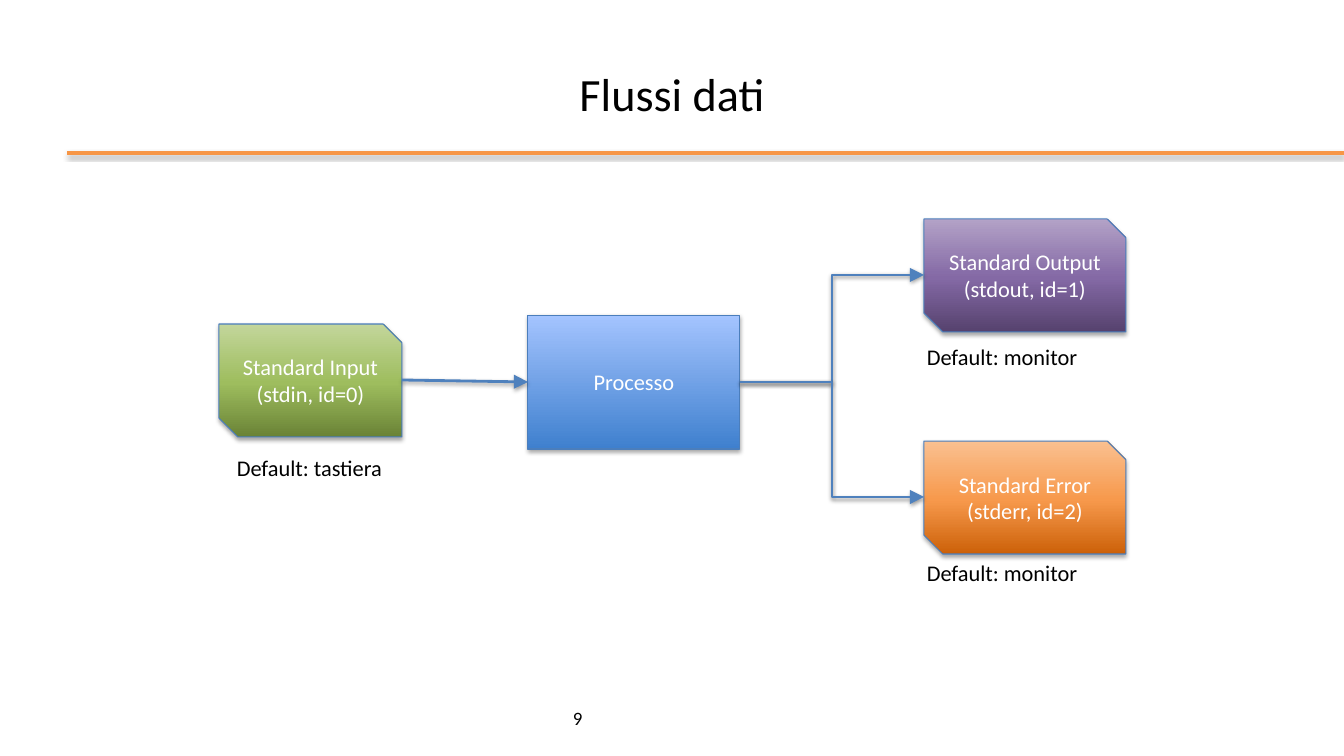
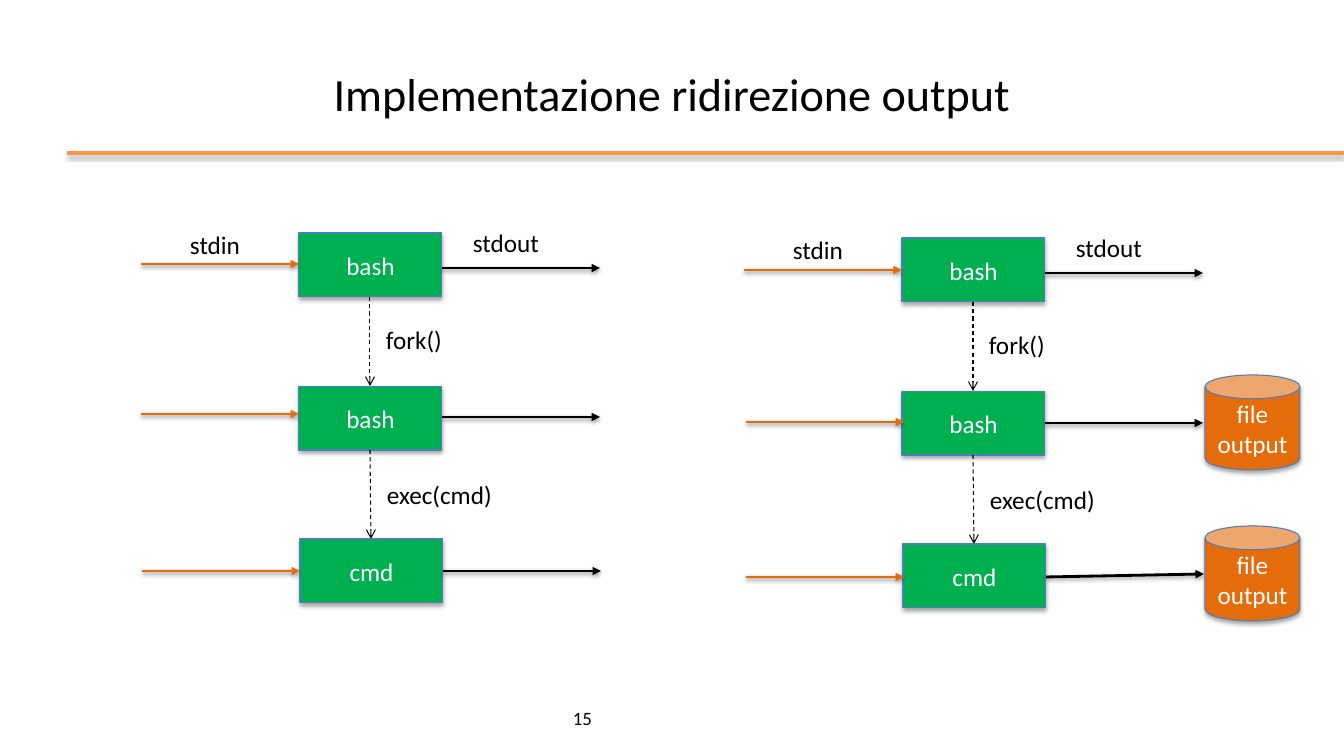
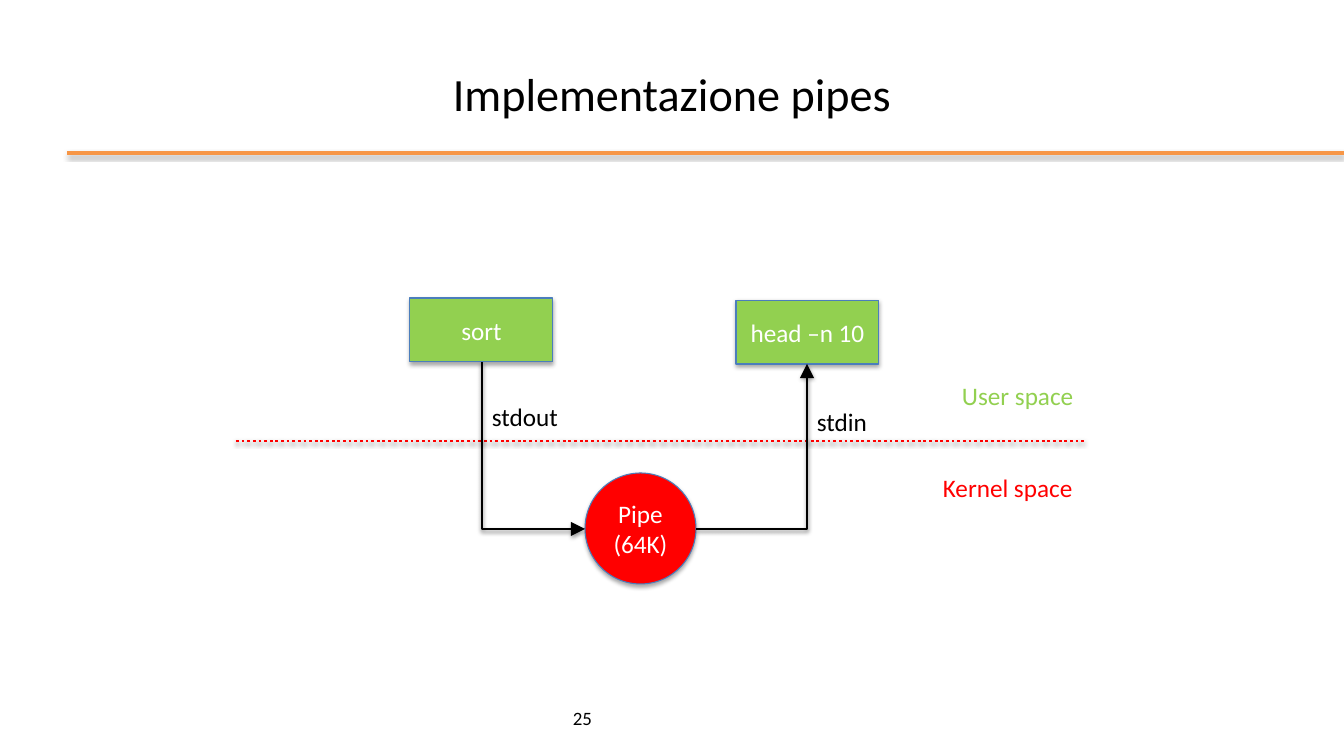
from lxml.etree import SubElement
from pptx import Presentation
from pptx.dml.color import RGBColor
from pptx.enum.dml import MSO_LINE_DASH_STYLE as Dash
from pptx.enum.shapes import MSO_AUTO_SHAPE_TYPE as Preset, MSO_CONNECTOR as Link
from pptx.enum.text import MSO_ANCHOR as Anchor, MSO_AUTO_SIZE as AutoSize, PP_ALIGN as Align
from pptx.oxml.ns import qn
from pptx.util import Pt

SCALE = 914400 / 100.8
FONT = "Calibri"
BLACK = RGBColor(0, 0, 0)
WHITE = RGBColor(0xFF, 0xFF, 0xFF)
ORANGE = RGBColor(0xF7, 0x96, 0x46)
DARK_ORANGE = RGBColor(0xE4, 0x6C, 0x0A)
OUTLINE = RGBColor(0x4B, 0x7E, 0xBC)
BLUE = RGBColor(0x4F, 0x81, 0xBD)
GREEN = RGBColor(0x00, 0xB0, 0x50)
LIME = RGBColor(0x92, 0xD0, 0x50)
RED = RGBColor(0xFF, 0, 0)
BLUE_SHADES = ((0, RGBColor(0x3F, 0x80, 0xCE)), (100, RGBColor(0xA4, 0xC4, 0xFF)))
GREEN_SHADES = ((0, RGBColor(0x6A, 0x83, 0x36)), (48, RGBColor(0x9E, 0xBD, 0x5E)),
                (100, RGBColor(0xC3, 0xD6, 0x9B)))
PURPLE_SHADES = ((0, RGBColor(0x56, 0x42, 0x6E)), (48, RGBColor(0x84, 0x69, 0xA5)),
                 (100, RGBColor(0xB3, 0xA2, 0xC7)))
ORANGE_SHADES = ((0, RGBColor(0xCC, 0x61, 0x09)), (48, RGBColor(0xF7, 0x99, 0x4C)),
                 (100, RGBColor(0xFA, 0xC0, 0x90)))

RECT_TOP, RECT_LEFT, RECT_BOTTOM, RECT_RIGHT = range(4)
SNIP_RIGHT, SNIP_BOTTOM, SNIP_LEFT, SNIP_TOP = range(4)
ELLIPSE_LEFT, ELLIPSE_RIGHT = 2, 6
NODE_WIDTH, NODE_HEIGHT = 143, 64


def px(*lengths):
    return [round(length * SCALE) for length in lengths]


def write(frame, text, size=18, color=BLACK, align=Align.LEFT, anchor=Anchor.TOP):
    frame.text = text
    frame.vertical_anchor = anchor
    for paragraph in frame.paragraphs:
        paragraph.alignment = align
        font = paragraph.runs[0].font
        font.name, font.size, font.color.rgb = FONT, Pt(size), color


def add_shadow(effects, opacity, distance):
    shadow = SubElement(effects, qn("a:outerShdw"), blurRad="40000", dist=str(distance),
                        dir="5400000", rotWithShape="0")
    color = SubElement(shadow, qn("a:srgbClr"), val=str(BLACK))
    SubElement(color, qn("a:alpha"), val=str(opacity * 1000))


def add_label(slide, text, left, top, width, height=40, wrap=False, **text_format):
    box = slide.shapes.add_textbox(*px(left, top, width, height))
    frame = box.text_frame
    frame.word_wrap = wrap
    frame.auto_size = AutoSize.NONE if wrap else AutoSize.SHAPE_TO_FIT_TEXT
    write(frame, text, **text_format)


def fill_gradient(shape, shades):
    shape.fill.gradient()
    shape.fill.gradient_angle = 90
    stops = shape.element.spPr.find(".//" + qn("a:gsLst"))
    stops.clear()
    for position, color in shades:
        stop = SubElement(stops, qn("a:gs"), pos=str(position * 1000))
        SubElement(stop, qn("a:srgbClr"), val=str(color))


def add_node(slide, preset, text, left, top, width=NODE_WIDTH, height=NODE_HEIGHT,
             fill=GREEN, size=18):
    shape = slide.shapes.add_shape(preset, *px(left, top, width, height))
    if isinstance(fill, RGBColor):
        shape.fill.solid()
        shape.fill.fore_color.rgb = fill
    else:
        fill_gradient(shape, fill)
    shape.line.color.rgb, shape.line.width = OUTLINE, Pt(0.75)
    shape.shadow.inherit = False
    add_shadow(shape.element.spPr.find(qn("a:effectLst")), 35, 23000)
    write(shape.text_frame, text, size=size, color=WHITE, align=Align.CENTER, anchor=Anchor.MIDDLE)
    return shape


def add_line(slide, begin, end, kind=Link.STRAIGHT, color=BLACK, width=2, dash=None,
             head=None, tail=None, head_size="med", shadow=(38, 20000), corner=False,
             begin_at=None, end_at=None):
    line = slide.shapes.add_connector(kind, *px(*begin, *end))
    line.line.color.rgb, line.line.width = color, Pt(width)
    if dash:
        line.line.dash_style = dash
    properties = line.element.spPr
    outline = properties.find(qn("a:ln"))
    for tag, arrow in (("a:headEnd", head), ("a:tailEnd", tail)):
        if arrow:
            SubElement(outline, qn(tag), type=arrow, w=head_size, len=head_size)
    effects = SubElement(properties, qn("a:effectLst"))
    if shadow:
        add_shadow(effects, *shadow)
    if corner:
        properties.find(qn("a:prstGeom")).set("prst", "bentConnector2")
    for tag, joint in (("a:stCxn", begin_at), ("a:endCxn", end_at)):
        if joint:
            shape, site = joint
            SubElement(line.element.nvCxnSpPr.cNvCxnSpPr, qn(tag),
                       id=str(shape.shape_id), idx=str(site))
    return line


def prepare_layout(layout, first_slide):
    title = layout.placeholders[0]
    title.left, title.top, title.width, title.height = px(67, 30, 1210, 126)
    rule = add_line(first_slide, (67, 153), (1344, 153), color=ORANGE, width=3,
                    shadow=(35, 23000)).element
    rule.nvCxnSpPr.cNvPr.set("id", "20")
    layout.shapes.element.append(rule)


def add_heading(slide, title, number):
    write(slide.shapes.title.text_frame, title, size=33, align=Align.CENTER, anchor=Anchor.MIDDLE)
    slide.shapes.title.text_frame.auto_size = AutoSize.NONE
    add_label(slide, number, 563, 702, 713, wrap=True, size=13.5)


def draw_data_flows(slide, left, top):
    middle = top + 163
    process = add_node(slide, Preset.RECTANGLE, "Processo", left + 309, top + 96, 212, 134,
                       fill=BLUE_SHADES, size=16)
    source = add_node(slide, Preset.SNIP_2_DIAG_RECTANGLE, "Standard Input (stdin, id=0)",
                      left, top + 105, 183, 113, fill=GREEN_SHADES, size=16)
    arrow = {"color": BLUE, "tail": "triangle", "head_size": "lg"}
    add_line(slide, (left + 183, middle - 2), (left + 309, middle),
             begin_at=(source, SNIP_RIGHT), end_at=(process, RECT_LEFT), **arrow)
    add_label(slide, "Default: tastiera", left + 8, top + 230, 167, 37, size=16)
    outputs = (("Standard Output (stdout, id=1)", 0, 119, PURPLE_SHADES),
               ("Standard Error (stderr, id=2)", 222, 335, ORANGE_SHADES))
    for text, offset, label_offset, shades in outputs:
        output = add_node(slide, Preset.SNIP_2_DIAG_RECTANGLE, text, left + 705, top + offset,
                          202, 113, fill=shades, size=16)
        add_line(slide, (left + 521, middle), (left + 705, top + offset + 56), kind=Link.ELBOW,
                 begin_at=(process, RECT_RIGHT), end_at=(output, SNIP_LEFT), **arrow)
        add_label(slide, "Default: monitor", left + 698, top + label_offset, 172, 37, size=16)


def draw_redirection(slide, left, top, inputs, outputs):
    for row, text in enumerate(("bash", "bash", "cmd")):
        shift = row // 2
        node_left, node_top = left + 158 + shift, top + 11 + 153 * row
        add_node(slide, Preset.RECTANGLE, text, node_left, node_top)
        input_shift, input_y = inputs[row]
        start = left + input_shift
        add_line(slide, (start, top + input_y), (start + 158, top + input_y),
                 color=DARK_ORANGE, tail="triangle")
        begin_y, end_y = outputs[row]
        add_line(slide, (node_left + NODE_WIDTH, top + begin_y),
                 (node_left + 301, top + end_y), tail="triangle")
        if row < 2:
            center = left + 229
            add_line(slide, (center, node_top + NODE_HEIGHT), (center + row, node_top + 153),
                     width=0.75, dash=Dash.DASH, tail="arrow", shadow=None)
    for text, x, y, width in (("stdout", 322, 0, 87), ("stdin", 39, 2, 71),
                              ("fork()", 235, 97, 77), ("exec(cmd)", 236, 252, 127)):
        add_label(slide, text, left + x, top + y, width)


def draw_output_files(slide, left, top):
    for row in range(2):
        add_node(slide, Preset.CAN, "file\noutput", left, top + 151 * row, 95, 95,
                 fill=DARK_ORANGE)


def draw_pipe(slide, left, top):
    pipe = add_node(slide, Preset.OVAL, "Pipe\n(64K)", left + 350, top + 175, 111, 111, fill=RED)
    add_line(slide, (left + 1, top + 143), (left + 850, top + 143), color=RED,
             dash=Dash.ROUND_DOT)
    add_label(slide, "Kernel space", left + 698, top + 169, 152, color=RED)
    add_label(slide, "User space", left + 717, top + 77, 133, color=LIME)
    sort = add_node(slide, Preset.RECTANGLE, "sort", left + 175, top, fill=LIME)
    reader = add_node(slide, Preset.RECTANGLE, "head –n 10", left + 501, top + 2, fill=LIME)
    pipe_middle = top + 231
    bend = {"kind": Link.ELBOW, "corner": True, "head_size": "lg"}
    add_line(slide, (left + 350, pipe_middle), (left + 247, top + 64), head="triangle",
             begin_at=(pipe, ELLIPSE_LEFT), end_at=(sort, RECT_BOTTOM), **bend)
    add_line(slide, (left + 461, pipe_middle), (left + 572, top + 66), tail="triangle",
             begin_at=(pipe, ELLIPSE_RIGHT), end_at=(reader, RECT_BOTTOM), **bend)
    add_label(slide, "stdout", left + 247, top + 98, 87)
    add_label(slide, "stdin", left + 572, top + 103, 71)


presentation = Presentation()
presentation.slide_width, presentation.slide_height = px(1344, 756)
title_layout = presentation.slide_layouts[5]
flows, redirection, pipes = [presentation.slides.add_slide(title_layout) for _ in range(3)]
prepare_layout(title_layout, flows)

add_heading(flows, "Flussi dati", "9")
draw_data_flows(flows, 219, 219)

add_heading(redirection, "Implementazione ridirezione output", "15")
draw_redirection(redirection, 141, 222, inputs=((0, 42), (0, 192), (1, 349)),
                 outputs=((46, 46), (195, 195), (349, 349)))
draw_redirection(redirection, 744, 227, inputs=((0, 43), (2, 195), (2, 350)),
                 outputs=((46, 46), (196, 196), (350, 347)))
draw_output_files(redirection, 1205, 375)

add_heading(pipes, "Implementazione pipes", "25")
draw_pipe(pipes, 235, 298)

presentation.save("out.pptx")
